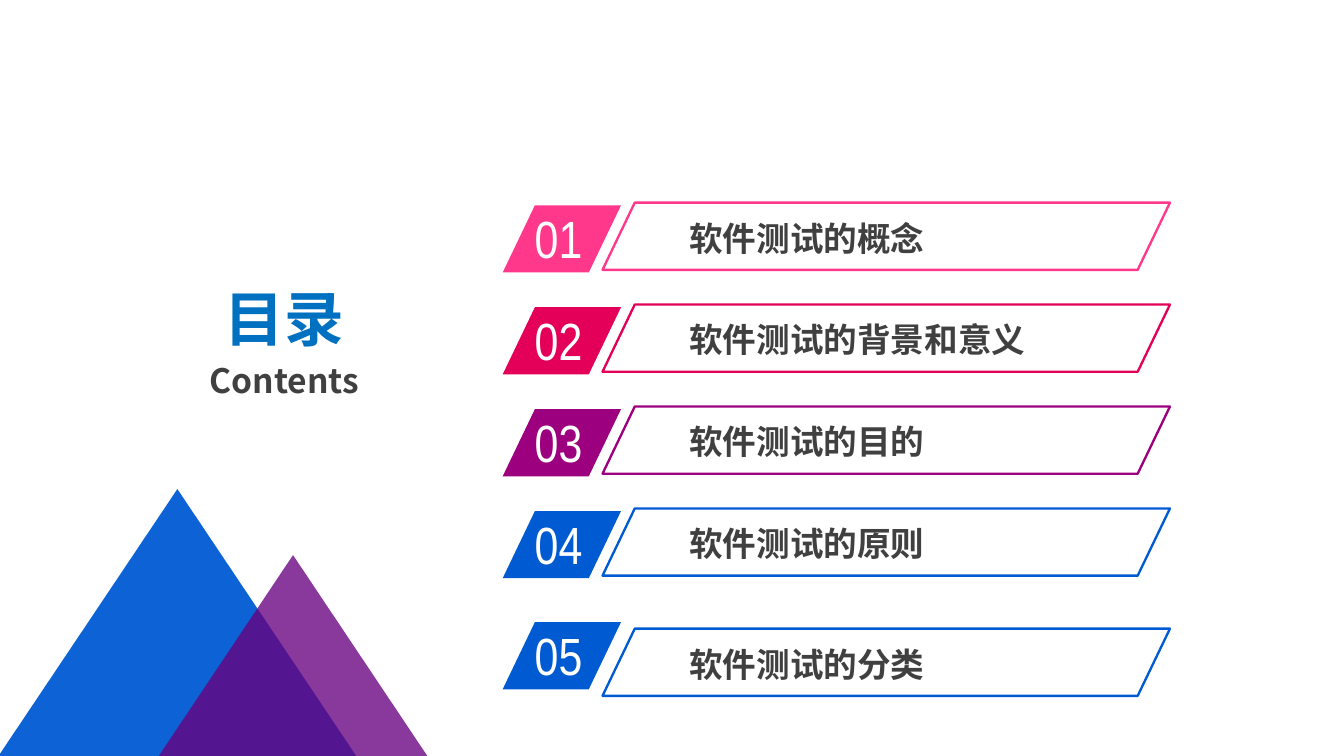
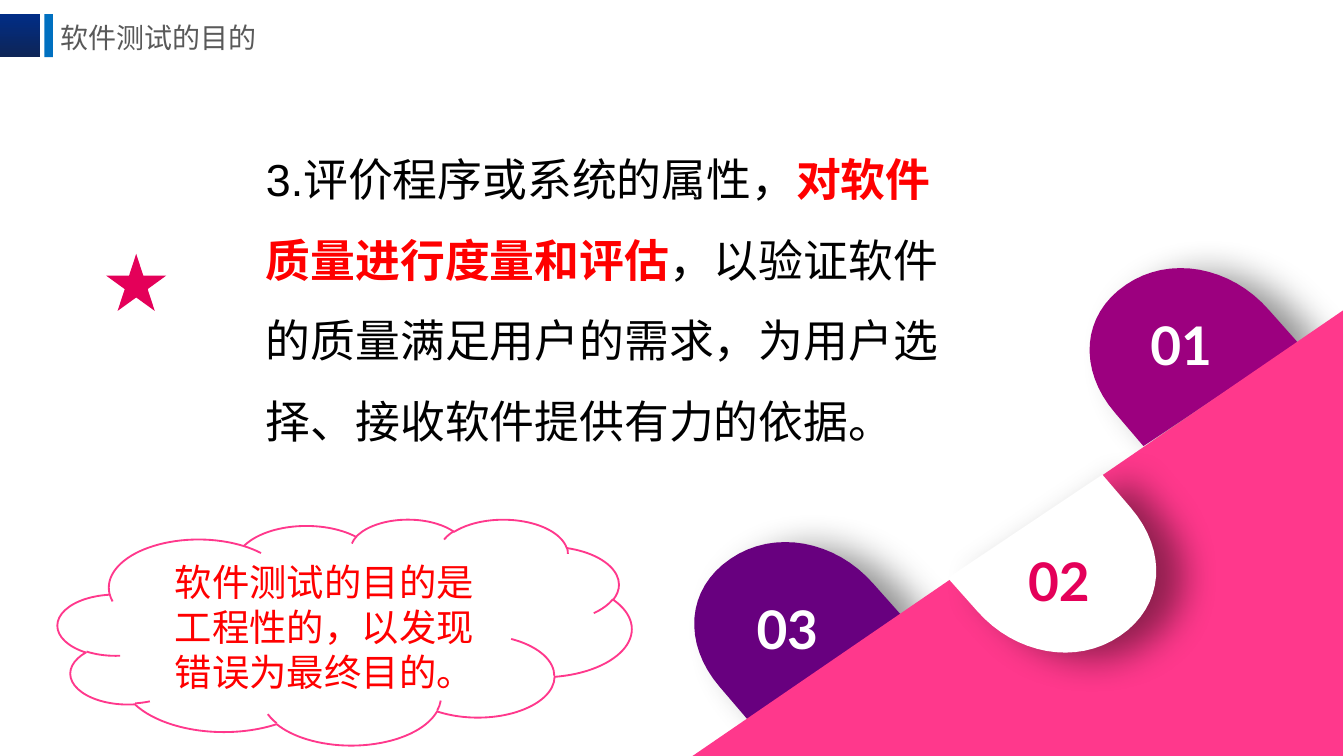
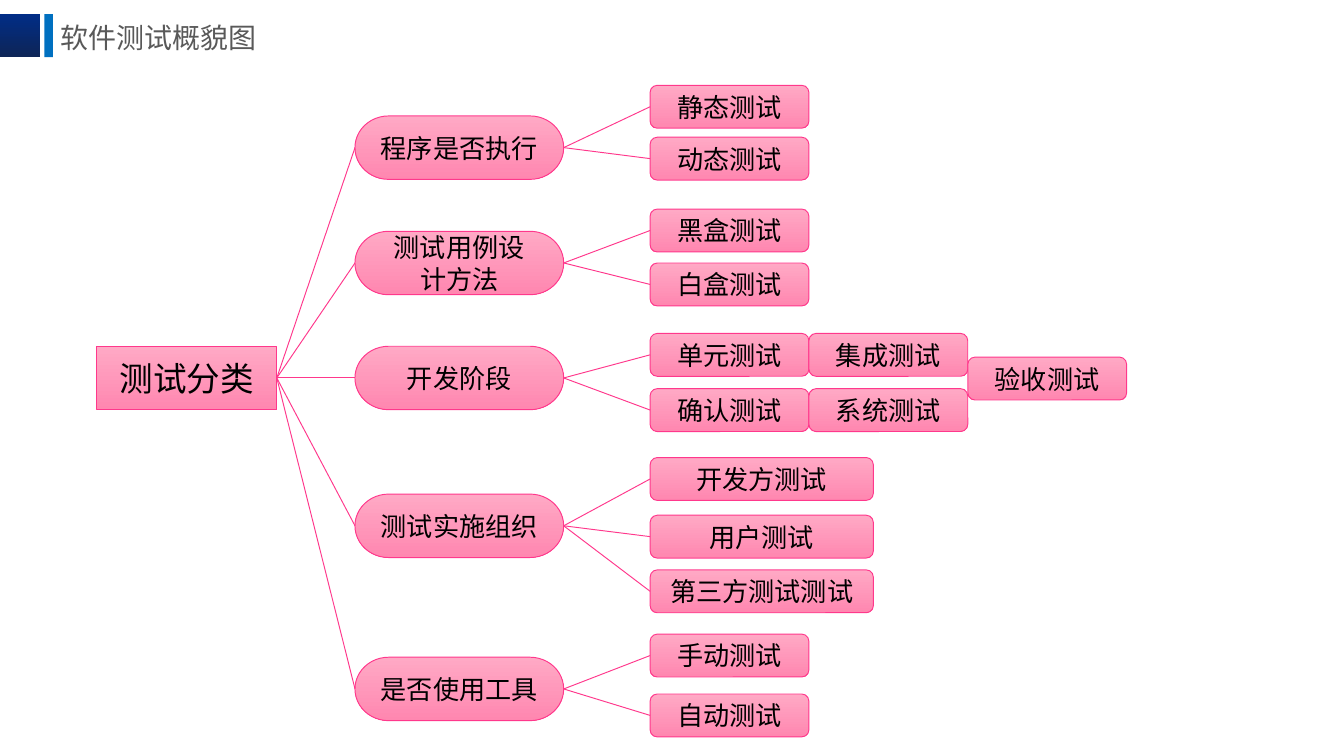
from lxml.etree import SubElement
from pptx import Presentation
from pptx.dml.color import RGBColor
from pptx.enum.shapes import MSO_CONNECTOR as LINE, MSO_SHAPE as SHAPE
from pptx.enum.text import MSO_ANCHOR as ANCHOR, MSO_AUTO_SIZE as AUTO, PP_ALIGN as ALIGN
from pptx.oxml.ns import qn
from pptx.util import Pt

COLORS = {
    "pink": "FF388C", "crimson": "E40059", "plum": "9C007F", "violet": "68007F",
    "blue": "005BD3", "sky": "0070C0", "navy": "012D86", "midnight": "0E2557",
    "rose": "FFA9C5", "deep rose": "FF87B0", "red": "FF0000", "white": "FFFFFF",
    "black": "000000", "charcoal": "404040", "gray": "595959",
}
CJK = "Noto Sans CJK SC"


def paint(shape, fill=None, line=None, width=0.5):
    """Fill with a colour name, a (top, bottom) gradient pair, or nothing."""
    shape.shadow.inherit = False
    if isinstance(fill, tuple):
        shape.fill.gradient()
        shape.fill.gradient_angle = 270
        for stop, color in zip(shape.fill.gradient_stops, fill):
            stop.color.rgb = RGBColor.from_string(COLORS[color])
    elif fill:
        shape.fill.solid()
        shape.fill.fore_color.rgb = RGBColor.from_string(COLORS[fill])
    else:
        shape.fill.background()
    if line:
        shape.line.color.rgb = RGBColor.from_string(COLORS[line])
        shape.line.width = Pt(width)
    else:
        shape.line.fill.background()


def write(shape, text, size, color, font=CJK, bold=False, align=ALIGN.LEFT,
          anchor=ANCHOR.TOP, inset=(7.2, 3.6)):
    frame = shape.text_frame
    frame.text = text
    frame.word_wrap = True
    frame.auto_size = AUTO.NONE
    frame.vertical_anchor = anchor
    frame.margin_left = frame.margin_right = Pt(inset[0])
    frame.margin_top = frame.margin_bottom = Pt(inset[1])
    for paragraph in frame.paragraphs:
        paragraph.alignment = align
        paragraph.font.name = font
        SubElement(paragraph.font._element, qn("a:ea"), typeface=CJK)
        paragraph.font.size = Pt(size)
        paragraph.font.bold = bold
        paragraph.font.color.rgb = RGBColor.from_string(COLORS[color])
    return frame


prs = Presentation()
prs.slide_width, prs.slide_height = Pt(720), Pt(405)
contents, purpose, overview = [
    prs.slides.add_slide(prs.slide_layouts[5]) for _ in range(3)]

# Shared heading of the two content slides
for slide, heading in [(purpose, "软件测试的目的"), (overview, "软件测试概貌图")]:
    for left, width, fill in [(0, 21.5, ("navy", "midnight")), (23.8, 4.5, "sky")]:
        band = slide.shapes.add_shape(SHAPE.RECTANGLE, Pt(left), Pt(7.6), Pt(width), Pt(23))
        paint(band, fill)
    title = slide.shapes.title
    title.left, title.top, title.width, title.height = Pt(25.2), Pt(3.6), Pt(176.4), Pt(33)
    write(title, heading, 15, "gray", anchor=ANCHOR.MIDDLE)

# Slide 1: contents
title = contents.shapes.title
title.left, title.top, title.width, title.height = Pt(63.4), Pt(163.4), Pt(177.8), Pt(38.9)
frame = write(title, "目录\nContents", 32, "sky", bold=True,
              align=ALIGN.CENTER, anchor=ANCHOR.MIDDLE)
subtitle = frame.paragraphs[1]
subtitle.space_before = Pt(3.6)
subtitle.font.size = Pt(18)
subtitle.font.color.rgb = RGBColor.from_string(COLORS["charcoal"])

chapters = [
    ("软件测试的概念", "pink"),
    ("软件测试的背景和意义", "crimson"),
    ("软件测试的目的", "plum"),
    ("软件测试的原则", "blue"),
    ("软件测试的分类", "blue"),
]
for row, (chapter, color) in enumerate(chapters):
    tag_top = 110 + 54.6 * row
    frame_top = tag_top - 1.4
    if row == 4:  # the last chapter stands a little apart
        tag_top, frame_top = 333.3, 336.8
    tag = contents.shapes.add_shape(
        SHAPE.PARALLELOGRAM, Pt(269.3), Pt(tag_top), Pt(63.4), Pt(36))
    paint(tag, color)
    border = contents.shapes.add_shape(
        SHAPE.PARALLELOGRAM, Pt(322.8), Pt(frame_top), Pt(304), Pt(36))
    paint(border, line=color, width=1.25)
    for shape in (tag, border):
        shape.adjustments[0] = 0.48
    number = contents.shapes.add_textbox(Pt(279.4), Pt(tag_top - 3), Pt(60.5), Pt(41))
    write(number, f"{row + 1:02}", 28, "white", font="Arial Narrow")
    label = contents.shapes.add_textbox(Pt(364.3), Pt(frame_top + 5), Pt(222.5), Pt(27.4))
    write(label, chapter, 18, "charcoal", bold=True, inset=(5, 2.9))

for left, top, width, height, color, opacity in [
        (-7.2, 262, 204.5, 152.6, "blue", 95), (80, 297.4, 154, 115.2, "violet", 78)]:
    peak = contents.shapes.add_shape(
        SHAPE.ISOSCELES_TRIANGLE, Pt(left), Pt(top), Pt(width), Pt(height))
    paint(peak, color)
    tint = peak._element.spPr.find(".//" + qn("a:srgbClr"))
    SubElement(tint, qn("a:alpha"), val=str(opacity * 1000))

# Slide 2: purpose
# A drop is two Bezier arcs, measured from the tip where it meets the slope
arcs = [
    [(-15.5, -17.4), (-36, -41), (-69, -47), (-92.2, -31)],
    [(-92.2, -31), (-116, -15), (-118, 14.4), (-98, 37.6)],
]
STEPS = 16
drop = [(0, 0)]
for arc in arcs:
    for step in range(STEPS + 1):
        t = step / STEPS
        weights = ((1 - t) ** 3, 3 * t * (1 - t) ** 2, 3 * t ** 2 * (1 - t), t ** 3)
        drop.append(tuple(sum(w * p[axis] for w, p in zip(weights, arc)) for axis in (0, 1)))
drop.append((-82.8, 55.4))
slope = [(371, 405), (719.5, 405), (719.5, 166.3)]

# Outline, origin, direction (-1 turns it half round), fill, casts a shadow
for outline, (x0, y0), turn, color, raised in [
        (drop, (695.4, 183.6), 1, "plum", True),
        (drop, (483.6, 330.4), 1, "violet", True),
        (slope, (0, 0), 1, "pink", False),
        (drop, (507.8, 309.7), -1, "white", True)]:
    points = [(Pt(x0 + turn * x), Pt(y0 + turn * y)) for x, y in outline]
    builder = purpose.shapes.build_freeform(*points[0])
    builder.add_line_segments(points[1:])
    piece = builder.convert_to_shape()
    paint(piece, color)
    if raised:
        effects = piece._element.spPr.find(qn("a:effectLst"))
        shadow = SubElement(effects, qn("a:outerShdw"), blurRad=str(Pt(20)),
                            dist=str(Pt(15)), dir=str(12 * 60000), rotWithShape="0")
        shade = SubElement(shadow, qn("a:srgbClr"), val=COLORS["black"])
        SubElement(shade, qn("a:alpha"), val="43000")

for step, left, top, color in [("01", 611.3, 164.2, "white"),
                               ("02", 545.8, 290.9, "crimson"),
                               ("03", 400.3, 316.8, "white")]:
    number = purpose.shapes.add_textbox(Pt(left), Pt(top), Pt(48.2), Pt(39.6))
    write(number, step, 28.5, color, font="Lato", bold=True, inset=(5, 2.9))

star = purpose.shapes.add_shape(SHAPE.STAR_5_POINT, Pt(56.9), Pt(136), Pt(32.2), Pt(30.6))
paint(star, "crimson")

statement = purpose.shapes.add_textbox(Pt(137.5), Pt(64), Pt(384.5), Pt(180))
frame = write(statement, "3.评价程序或系统的属性，", 24, "black", font="Arial", inset=(5, 2.9))
sentence = frame.paragraphs[0]
sentence.line_spacing = 1.5
emphasis = sentence.add_run()
emphasis.text = "对软件质量进行度量和评估"
emphasis.font.bold = True
emphasis.font.color.rgb = RGBColor.from_string(COLORS["red"])
sentence.add_run().text = "，以验证软件的质量满足用户的需求，为用户选择、接收软件提供有力的依据。"

cloud = purpose.shapes.add_shape(SHAPE.CLOUD, Pt(31), Pt(278), Pt(307.4), Pt(121))
paint(cloud, "white", "pink", 1)
write(cloud, "软件测试的目的是\n工程性的，以发现错误为最终目的。", 20, "red",
      font="Calibri", align=ALIGN.CENTER, anchor=ANCHOR.MIDDLE, inset=(14, 3.6))

# Slide 3: overview tree
LEAF_LEFT, LEAF_WIDTH, WIDE_LEAF = 348.3, 85.1, 119.6
root = ("测试分类", SHAPE.FLOWCHART_PROCESS, 51.9, 185.5, 96.4, 34, 18)
# Branch, its top, leaf width, then (leaf top, leaf and its followers in the row)
branches = [
    ("程序是否执行", 62.1, LEAF_WIDTH, [(45.7, ["静态测试"]), (73.5, ["动态测试"])]),
    ("测试用例设\n计方法", 123.9, LEAF_WIDTH, [(112, ["黑盒测试"]), (140.9, ["白盒测试"])]),
    ("开发阶段", 185.5, LEAF_WIDTH, [(178.6, ["单元测试", "集成测试"]),
                                 (208.2, ["确认测试", "系统测试"])]),
    ("测试实施组织", 264.7, WIDE_LEAF, [(245.1, ["开发方测试"]), (276, ["用户测试"]),
                                  (305.3, ["第三方测试测试"])]),
    ("是否使用工具", 352.1, LEAF_WIDTH, [(339.7, ["手动测试"]), (371.8, ["自动测试"])]),
]
nodes = [root]
links = []
for branch, top, leaf_width, rows in branches:
    branch_index = len(nodes)
    nodes.append((branch, SHAPE.FLOWCHART_TERMINATOR, 190.2, top, 111.8, 34, 14))
    links.append((0, branch_index))
    for leaf_top, leaves in rows:
        links.append((branch_index, len(nodes)))
        for column, leaf in enumerate(leaves):
            nodes.append((leaf, SHAPE.ROUNDED_RECTANGLE, LEAF_LEFT + column * leaf_width,
                          leaf_top, leaf_width, 23, 14))
nodes.append(("验收测试", SHAPE.ROUNDED_RECTANGLE, LEAF_LEFT + 2 * LEAF_WIDTH,
              191.3, LEAF_WIDTH, 23, 14))

boxes = []
for name, kind, left, top, width, height, size in nodes:
    box = overview.shapes.add_shape(kind, Pt(left), Pt(top), Pt(width), Pt(height))
    paint(box, ("rose", "deep rose"), "pink")
    write(box, name, size, "black", font="Calibri", align=ALIGN.CENTER,
          anchor=ANCHOR.MIDDLE, inset=(3, 2))
    boxes.append(box)

for parent, child in links:
    link = overview.shapes.add_connector(LINE.STRAIGHT, 0, 0, 0, 0)
    link.begin_connect(boxes[parent], 3)
    link.end_connect(boxes[child], 1)
    link.line.color.rgb = RGBColor.from_string(COLORS["pink"])
    link.line.width = Pt(0.5)
    SubElement(link._element.spPr, qn("a:effectLst"))

prs.save("out.pptx")
